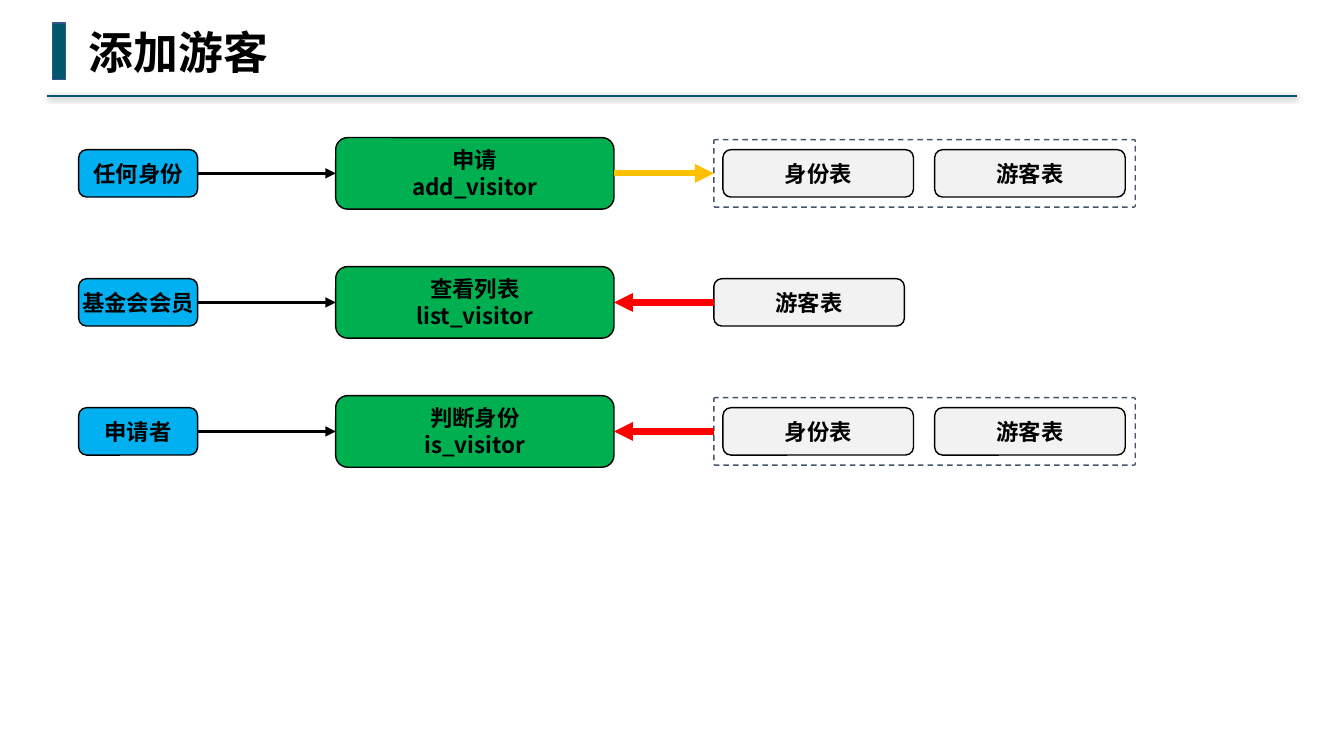
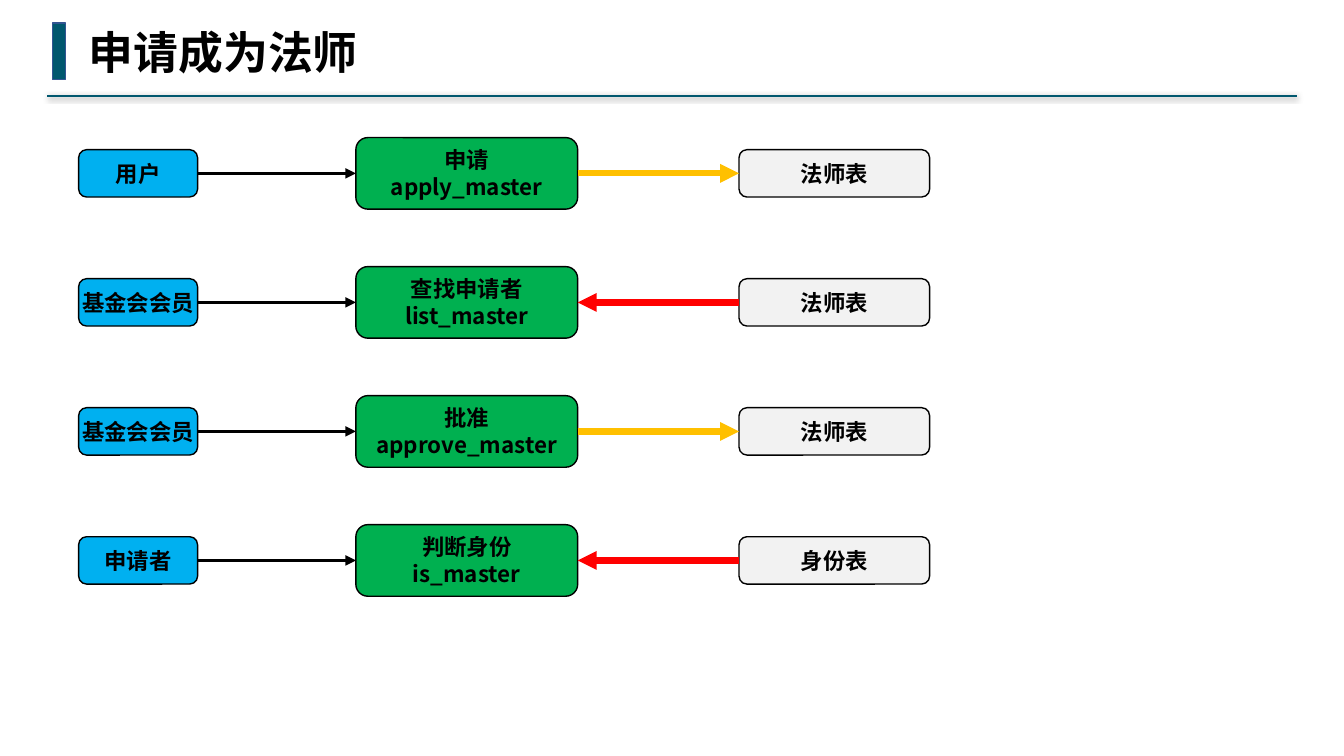
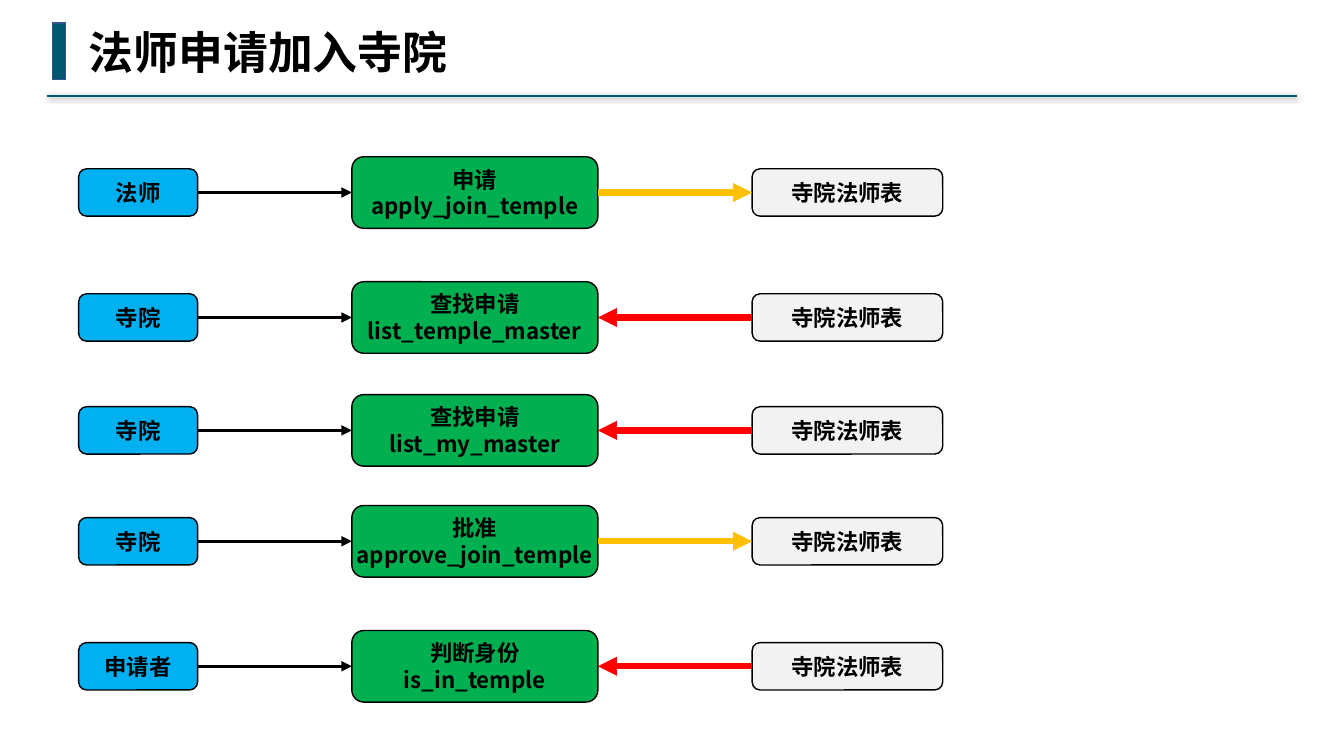
from lxml.etree import SubElement
from pptx import Presentation
from pptx.dml.color import RGBColor
from pptx.enum.dml import MSO_LINE
from pptx.enum.shapes import MSO_CONNECTOR, MSO_SHAPE
from pptx.enum.text import MSO_ANCHOR, MSO_AUTO_SIZE, PP_ALIGN
from pptx.oxml.ns import qn
from pptx.util import Inches, Pt

# Colours and fonts
BLACK = RGBColor(0x00, 0x00, 0x00)
TEAL = RGBColor(0x00, 0x57, 0x6E)
NAVY = RGBColor(0x32, 0x54, 0x91)
SLATE = RGBColor(0x44, 0x54, 0x6A)
BLUE = RGBColor(0x00, 0xB0, 0xF0)
GREEN = RGBColor(0x00, 0xB0, 0x50)
GREY = RGBColor(0xF2, 0xF2, 0xF2)
GOLD = RGBColor(0xFF, 0xC0, 0x00)
RED = RGBColor(0xFF, 0x00, 0x00)
SANS = "Noto Sans CJK SC"
MONO = "Noto Sans Mono"

# Flow layout: user box, function box, table box
USER_X, USER_W = 0.78, 1.18
TABLE_W, BOX_H, FUNC_H = 1.89, 0.47, 0.71
FRAME_W, FRAME_H, PAD, PITCH = 4.18, 0.67, 0.09, 2.1

# Each flow: user, action, function, arrow colour, tables
# Gold writes to the tables, red reads from them
DECK = [
    ("添加游客", 3.33, 2.76, 7.08, (1.72, 3, 4.28), [
        ("任何身份", "申请", "add_visitor", GOLD, ["身份表", "游客表"]),
        ("基金会会员", "查看列表", "list_visitor", RED, ["游客表"]),
        ("申请者", "判断身份", "is_visitor", RED, ["身份表", "游客表"]),
    ]),
    ("申请成为法师", 3.53, 2.2, 7.33, (1.72, 3, 4.28, 5.56), [
        ("用户", "申请", "apply_master", GOLD, ["法师表"]),
        ("基金会会员", "查找申请者", "list_master", RED, ["法师表"]),
        ("基金会会员", "批准", "approve_master", GOLD, ["法师表"]),
        ("申请者", "判断身份", "is_master", RED, ["身份表"]),
    ]),
    ("法师申请加入寺院", 3.49, 2.44, 7.46, (1.91, 3.15, 4.27, 5.37, 6.61), [
        ("法师", "申请", "apply_join_temple", GOLD, ["寺院法师表"]),
        ("寺院", "查找申请", "list_temple_master", RED, ["寺院法师表"]),
        ("寺院", "查找申请", "list_my_master", RED, ["寺院法师表"]),
        ("寺院", "批准", "approve_join_temple", GOLD, ["寺院法师表"]),
        ("申请者", "判断身份", "is_in_temple", RED, ["寺院法师表"]),
    ]),
]


def style(para, size, face, align):
    para.alignment = align
    font = para.font
    font.size, font.bold = Pt(size), True
    font.color.rgb = BLACK
    font.name = face
    props = para._p.pPr.find(qn("a:defRPr"))
    SubElement(props, qn("a:ea"), typeface=SANS)


def add_form(shapes, kind, x, y, w, h, fill, edge):
    form = shapes.add_shape(kind, Inches(x), Inches(y), Inches(w), Inches(h))
    form.shadow.inherit = False
    if fill is None:
        form.fill.background()
    else:
        form.fill.solid()
        form.fill.fore_color.rgb = fill
    form.line.color.rgb = edge
    form.line.width = Pt(1)
    return form


def add_box(shapes, x, mid, w, h, fill, text):
    """Rounded label box, centred on the height mid."""
    box = add_form(shapes, MSO_SHAPE.ROUNDED_RECTANGLE,
                   x, mid - h / 2, w, h, fill, BLACK)
    frame = box.text_frame
    frame.word_wrap = False
    frame.vertical_anchor = MSO_ANCHOR.MIDDLE
    frame.margin_left = frame.margin_right = Inches(0.04)
    frame.margin_top = frame.margin_bottom = Inches(0.04)
    frame.text = text
    for para in frame.paragraphs:
        style(para, 16, SANS, PP_ALIGN.CENTER)


def add_line(shapes, start, end, y, color, width):
    """Level line; returns it with its empty effect list."""
    line = shapes.add_connector(MSO_CONNECTOR.STRAIGHT, Inches(start),
                                Inches(y), Inches(end), Inches(y))
    line.line.color.rgb = color
    line.line.width = Pt(width)
    return line, SubElement(line._element.spPr, qn("a:effectLst"))


def add_arrow(shapes, start, end, y, color, width):
    line, _ = add_line(shapes, start, end, y, color, width)
    SubElement(line.line._get_or_add_ln(), qn("a:tailEnd"), type="triangle")


def add_head(slide, text):
    """Title with its bar and shadowed rule."""
    _, effects = add_line(slide.shapes, 12.86, 0.47, 0.95, TEAL, 1.5)
    shadow = SubElement(effects, qn("a:outerShdw"), blurRad=str(Pt(4)),
                        dist=str(Pt(1)), dir="5400000", rotWithShape="0")
    tint = SubElement(shadow, qn("a:srgbClr"), val=str(BLACK))
    SubElement(tint, qn("a:alpha"), val="40000")
    add_form(slide.shapes, MSO_SHAPE.RECTANGLE,
             0.52, 0.23, 0.13, 0.56, TEAL, NAVY)
    title = slide.shapes.title
    title.left, title.top = Inches(0.78), Inches(0.19)
    title.width, title.height = Inches(0.2 + 0.45 * len(text)), Inches(0.64)
    frame = title.text_frame
    frame.text = text
    frame.word_wrap = False
    frame.auto_size = MSO_AUTO_SIZE.NONE
    frame.vertical_anchor = MSO_ANCHOR.MIDDLE
    style(frame.paragraphs[0], 32, MONO, PP_ALIGN.LEFT)


def add_store(shapes, x, mid, names):
    """One table box, or several grouped in a dashed frame."""
    if len(names) == 1:
        add_box(shapes, x, mid, TABLE_W, BOX_H, GREY, names[0])
        return
    group = shapes.add_group_shape().shapes
    for i, name in enumerate(names):
        add_box(group, x + PAD + i * PITCH, mid, TABLE_W, BOX_H, GREY, name)
    frame = add_form(group, MSO_SHAPE.ROUNDED_RECTANGLE, x,
                     mid - FRAME_H / 2, FRAME_W, FRAME_H, None, SLATE)
    frame.adjustments[0] = 0.02
    frame.line.dash_style = MSO_LINE.DASH


def add_flow(shapes, func_x, func_w, store_x, mid, flow):
    user, action, func, color, names = flow
    func_end = func_x + func_w
    add_box(shapes, USER_X, mid, USER_W, BOX_H, BLUE, user)
    add_box(shapes, func_x, mid, func_w, FUNC_H, GREEN, f"{action}\n{func}")
    add_store(shapes, store_x, mid, names)
    add_arrow(shapes, USER_X + USER_W, func_x, mid, BLACK, 2.5)
    ends = (func_end, store_x) if color == GOLD else (store_x, func_end)
    add_arrow(shapes, *ends, mid, color, 4.5)


def main():
    deck = Presentation()
    deck.slide_width, deck.slide_height = Inches(13.33), Inches(7.5)
    for text, func_x, func_w, store_x, mids, flows in DECK:
        slide = deck.slides.add_slide(deck.slide_layouts[5])
        add_head(slide, text)
        for mid, flow in zip(mids, flows):
            add_flow(slide.shapes, func_x, func_w, store_x, mid, flow)
    deck.save("out.pptx")


if __name__ == "__main__":
    main()
